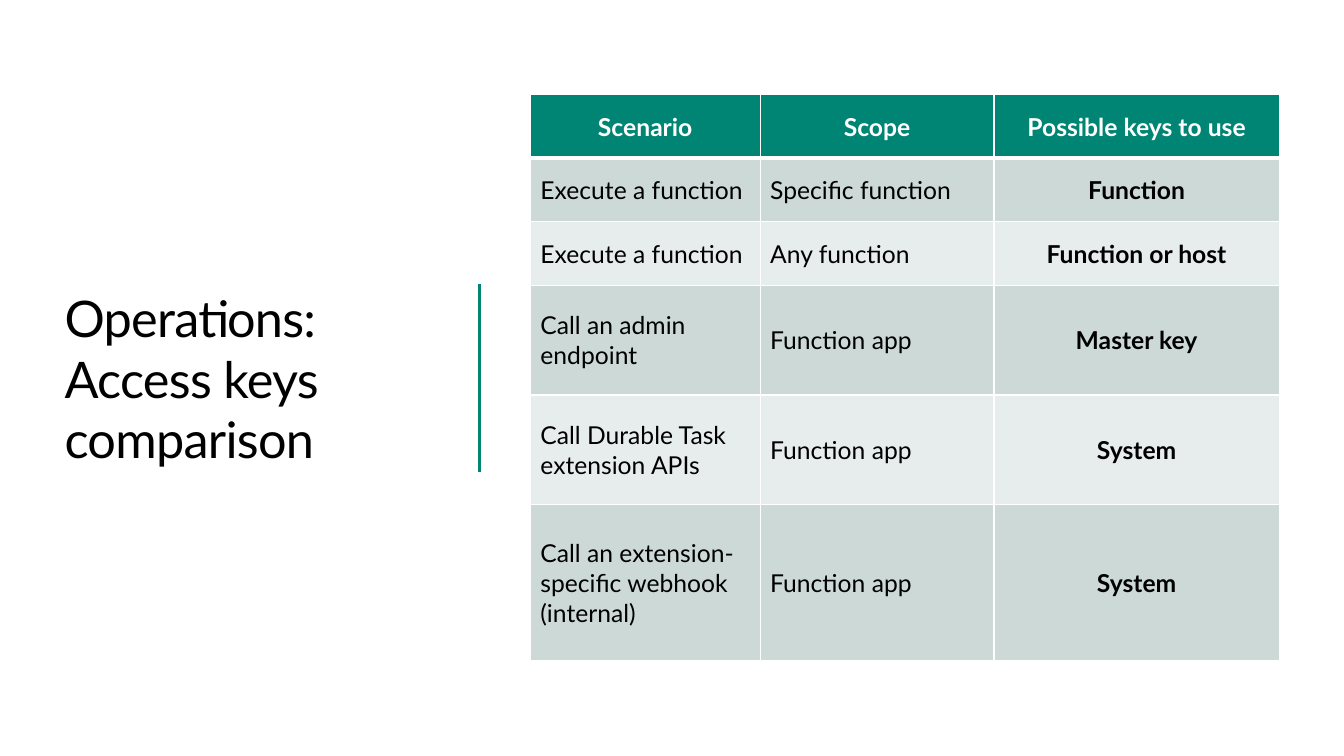
from lxml.etree import SubElement
from pptx import Presentation
from pptx.dml.color import RGBColor
from pptx.enum.text import MSO_ANCHOR, PP_ALIGN
from pptx.oxml.ns import qn
from pptx.util import Inches, Pt

COLORS = {"accent": "008575", "text": "000000", "white": "FFFFFF",
          "band_dark": "CCD9D6", "band_light": "E7EDEC"}
FONT = "Lato"
KEY_ROWS = [
    ("Scenario", "Scope", "Possible keys to use"),
    ("Execute a function", "Specific function", "Function"),
    ("Execute a function", "Any function", "Function or host"),
    ("Call an admin endpoint", "Function app", "Master key"),
    ("Call Durable Task extension APIs", "Function app", "System"),
    ("Call an extension-specific webhook (internal)", "Function app", "System"),
]
COL_WIDTHS = [17.1, 17.4, 21.23]
ROW_HEIGHTS = [8.4] * 3 + [14.53] * 2 + [20.67]


def rgb(name):
    return RGBColor.from_string(COLORS[name])


class SlideBuilder:
    """Places styled elements; lengths are percentages of the slide's size."""

    def __init__(self, prs):
        self.prs = prs
        self.s = prs.slides.add_slide(prs.slide_layouts[5])

    def x(self, share):
        return round(self.prs.slide_width * share / 100)

    def y(self, share):
        return round(self.prs.slide_height * share / 100)

    def style(self, p, size, color, bold=False, align=PP_ALIGN.LEFT):
        p.alignment = align
        p.font.name, p.font.size, p.font.bold = FONT, Pt(size), bold
        p.font.color.rgb = rgb(color)

    def title(self, text, left, top, width, height):
        sp = self.s.shapes.title
        sp.left, sp.top = self.x(left), self.y(top)
        sp.width, sp.height = self.x(width), self.y(height)
        tf = sp.text_frame
        tf.text = text
        tf.word_wrap = True
        tf.vertical_anchor = MSO_ANCHOR.MIDDLE
        tf.margin_left = tf.margin_top = tf.margin_right = tf.margin_bottom = 0
        p = tf.paragraphs[0]
        p.line_spacing = 1.0
        self.style(p, 36, "text")
        for r in p.runs:
            r._r.get_or_add_rPr().set("spc", "-50")

    def vertical_line(self, left, top, bottom):
        line = self.s.shapes.add_connector(
            1, self.x(left), self.y(top), self.x(left), self.y(bottom))
        line.line.color.rgb = rgb("accent")
        line.line.width = Pt(2.25)
        SubElement(line._element.spPr, qn("a:effectLst"))

    def borders(self, cell, widths):
        """Draw white borders, given as points by side, ahead of the cell's fill."""
        tc_pr = cell._tc.get_or_add_tcPr()
        for side, width in widths.items():
            ln = SubElement(tc_pr, qn(f"a:ln{side}"), w=str(Pt(width)))
            fill = SubElement(ln, qn("a:solidFill"))
            SubElement(fill, qn("a:srgbClr"), val=COLORS["white"])

    def table(self, rows, left, top, widths, heights):
        table = self.s.shapes.add_table(
            len(rows), len(widths), self.x(left), self.y(top),
            self.x(sum(widths)), self.y(sum(heights))).table
        for col, width in zip(table.columns, widths):
            col.width = self.x(width)
        for i, (row, height) in enumerate(zip(rows, heights)):
            table.rows[i].height = self.y(height)
            header = i == 0
            band = "accent" if header else "band_dark" if i % 2 else "band_light"
            for j, text in enumerate(row):
                cell = table.cell(i, j)
                cell.text = text
                cell.vertical_anchor = MSO_ANCHOR.MIDDLE
                self.borders(cell, {"L": 1, "R": 1, "T": 3 if i == 1 else 1,
                                    "B": 3 if header else 1})
                cell.fill.solid()
                cell.fill.fore_color.rgb = rgb(band)
                strong = header or j == len(row) - 1
                self.style(cell.text_frame.paragraphs[0], 17.6,
                           "white" if header else "text", strong,
                           PP_ALIGN.CENTER if strong else PP_ALIGN.LEFT)


def main():
    prs = Presentation()
    prs.slide_width, prs.slide_height = Inches(13.33), Inches(7.5)
    slide = SlideBuilder(prs)
    slide.vertical_line(35.71, 37.6, 62.4)
    slide.title("Operations:\vAccess keys comparison", 4.8, 37.87, 26.1, 24.27)
    slide.table(KEY_ROWS, 39.46, 12.53, COL_WIDTHS, ROW_HEIGHTS)
    prs.save("out.pptx")


if __name__ == "__main__":
    main()
